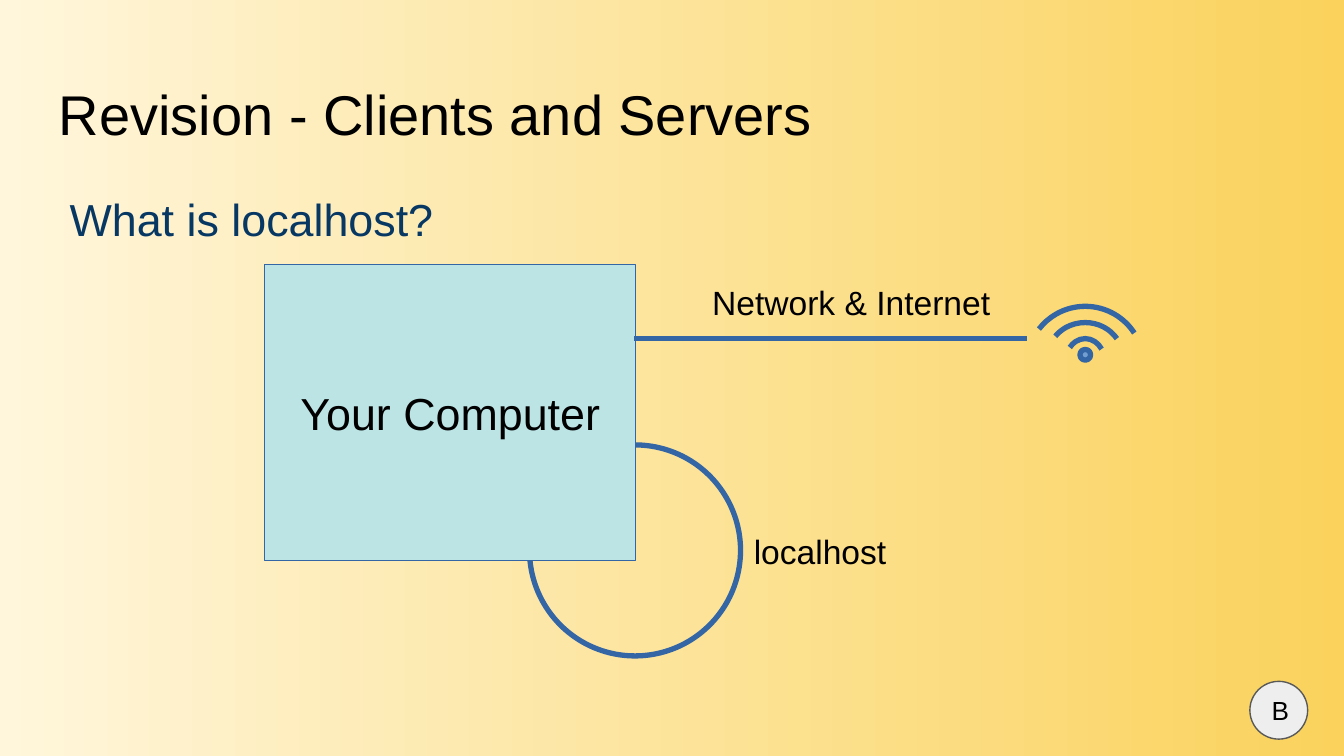
from lxml.etree import SubElement
from pptx import Presentation
from pptx.dml.color import RGBColor
from pptx.enum.shapes import MSO_CONNECTOR, MSO_SHAPE
from pptx.enum.text import MSO_ANCHOR, PP_ALIGN
from pptx.oxml.ns import qn
from pptx.util import Inches, Pt

# The slide is a grid of square cells, ten to the inch
COLS, ROWS = 100, 56.25
CELL = Inches(0.1)
BLUE, NAVY, BLACK = "3465A4", "073763", "000000"
THICK, THIN = 2.83, 0.75


def color(value):
    return RGBColor.from_string(value)


def grid(*cells):
    return [round(c * CELL) for c in cells]


def inside(box, x, y, w, h):
    """Move a box given relative to a parent box onto the slide grid."""
    return box[0] + x, box[1] + y, w, h


def set_line(s, width, line=BLUE):
    s.line.color.rgb = color(line)
    s.line.width = Pt(width)


def write(s, text, size, ink=BLACK, inset_y=1, **formats):
    tf = s.text_frame
    frame = {"word_wrap": True, "margin_left": CELL, "margin_right": CELL,
             "margin_top": round(inset_y * CELL),
             "margin_bottom": round(inset_y * CELL),
             "vertical_anchor": formats.get("anchor", MSO_ANCHOR.TOP)}
    for name, value in frame.items():
        setattr(tf, name, value)
    p = tf.paragraphs[0]
    p.alignment = formats.get("align", PP_ALIGN.LEFT)
    r = p.add_run()
    r.text = text
    for name, value in {"name": "Arial", "size": Pt(size)}.items():
        setattr(r.font, name, value)
    r.font.color.rgb = color(ink)


def add_text(slide, box, *args, **formats):
    write(slide.shapes.add_textbox(*grid(*box)), *args, **formats)


def add_shape(slide, kind, box, fill=None, width=THICK, line=BLUE):
    s = slide.shapes.add_shape(kind, *grid(*box))
    s.shadow.inherit = False
    if fill:
        s.fill.solid()
        s.fill.fore_color.rgb = color(fill)
    else:
        s.fill.background()
    set_line(s, width, line)
    return s


def add_arc(slide, box, start, end, rotation=0):
    s = add_shape(slide, MSO_SHAPE.ARC, box)
    # Angles are stored in 60000ths of a degree, adjustments in 100000ths
    for i, degrees in enumerate((start, end)):
        s.adjustments[i] = degrees * 0.6
    s.rotation = rotation


def draw_background(slide):
    fill = slide.background.fill
    fill.gradient()
    fill.gradient_angle = 0
    for stop, value in zip(fill.gradient_stops, ("FFF6DB", "FAD25C")):
        stop.color.rgb = color(value)


def draw_headings(slide, box):
    add_text(slide, inside(box, 0.8, 8.4, 93.2, 37.4),
             "What is localhost?", 24, NAVY)
    add_text(slide, inside(box, 0, 0, 93.2, 6.3),
             "Revision - Clients and Servers", 30)


def draw_badge(slide, box):
    s = add_shape(slide, MSO_SHAPE.OVAL, box, "EEEEEE", THIN, "595959")
    write(s, "B", 14, anchor=MSO_ANCHOR.MIDDLE)


def draw_wifi(slide, box):
    center = box[2] / 2
    # Waves share a centre line: top, width, height, start and end angle
    waves = [(0, 8.7, 8.7, 217.68, 327.07),
             (1.2, 5.6, 5.2, 215.37, 329.23),
             (2.4, 2.9, 3.4, 222.16, 322.79)]
    for top, w, h, start, end in waves:
        add_arc(slide, inside(box, center - w / 2, top, w, h), start, end)
    dot = 0.8
    add_shape(slide, MSO_SHAPE.OVAL,
              inside(box, center - dot / 2, 3.2, dot, dot), "729FCF")


def draw_diagram(slide, box):
    # Loop back to the computer, partly hidden behind it
    add_arc(slide, inside(box, 19.7, 13.4, 15.7, 15.7), 357.82, 269.02, 267.9)

    # Computer
    computer = inside(box, 0, 0, 27.6, 22)
    s = add_shape(slide, MSO_SHAPE.RECTANGLE, computer, "BCE4E5", THIN)
    write(s, "Your Computer", 24, inset_y=0.5,
          anchor=MSO_ANCHOR.MIDDLE, align=PP_ALIGN.CENTER)

    # Network line
    x, y, w, _ = inside(box, 27.5, 5.5, 29.2, 0)
    line = slide.shapes.add_connector(MSO_CONNECTOR.STRAIGHT,
                                      *grid(x, y, x + w, y))
    set_line(line, THICK)
    SubElement(line._element.spPr, qn("a:effectLst"))

    draw_wifi(slide, inside(box, 56.7, 3.1, 8.7, 8.7))

    # Labels
    for text, left, top in (("Network & Internet", 32.3, 0.8),
                            ("localhost", 35.4, 19.3)):
        add_text(slide, inside(box, left, top, 22.8, 3.9), text, 18,
                 inset_y=0.5)


def main():
    prs = Presentation()
    prs.slide_width, prs.slide_height = grid(COLS, ROWS)
    slide = prs.slides.add_slide(prs.slide_layouts[6])
    draw_background(slide)
    draw_headings(slide, (3.4, 4.9, 94, 45.8))
    draw_badge(slide, (93, 50.7, 4.3, 4.3))
    draw_diagram(slide, (19.7, 19.7, 65.4, 29.1))
    prs.save("out.pptx")


if __name__ == "__main__":
    main()
